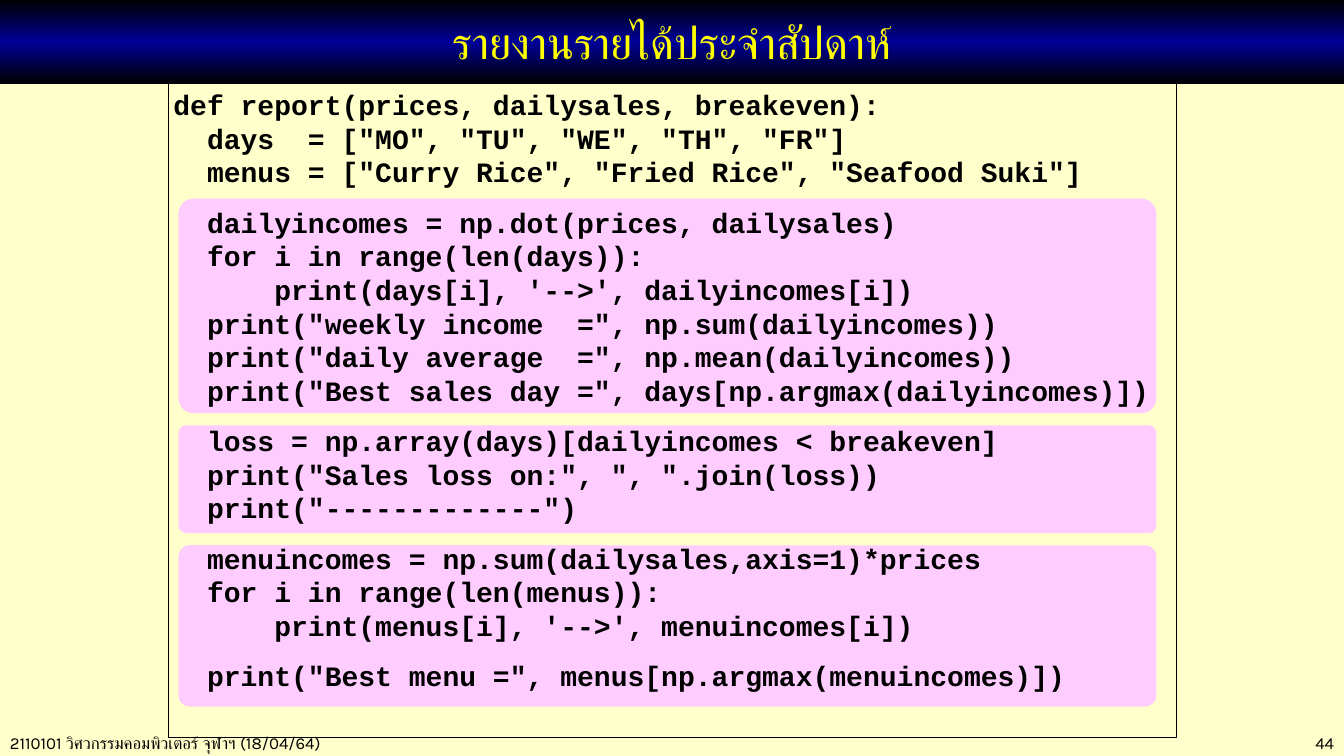
from copy import deepcopy

from pptx import Presentation
from pptx.dml.color import RGBColor
from pptx.enum.shapes import MSO_SHAPE
from pptx.enum.text import MSO_ANCHOR, PP_ALIGN
from pptx.util import Inches, Pt

CREAM = RGBColor(0xFF, 0xFF, 0xCC)
PINK = RGBColor(0xFF, 0xCC, 0xFF)
NAVY = RGBColor(0x00, 0x00, 0x99)
BLACK = RGBColor(0x00, 0x00, 0x00)
YELLOW = RGBColor(0xFF, 0xFF, 0x00)

TITLE_FONT = {"name": "Karla", "size": Pt(32), "bold": False}
CODE_FONT = {"name": "Courier New", "size": Pt(20), "bold": True}
FOOTER_FONT = {"name": "Karla", "size": Pt(12)}

TITLE = "รายงานรายได้ประจำสัปดาห์"
COURSE = "2110101 วิศวกรรมคอมพิวเตอร์ จุฬาฯ (18/04/64)"
# Each group of lines is followed by a 12-point gap.
CODE_GROUPS = [
    '''def report(prices, dailysales, breakeven):
  days  = ["MO", "TU", "WE", "TH", "FR"]
  menus = ["Curry Rice", "Fried Rice", "Seafood Suki"]''',
    '''  dailyincomes = np.dot(prices, dailysales)
  for i in range(len(days)):
      print(days[i], '-->', dailyincomes[i])
  print("weekly income  =", np.sum(dailyincomes))
  print("daily average  =", np.mean(dailyincomes))
  print("Best sales day =", days[np.argmax(dailyincomes)])''',
    '''  loss = np.array(days)[dailyincomes < breakeven]
  print("Sales loss on:", ", ".join(loss))
  print("-------------")''',
    '''  menuincomes = np.sum(dailysales,axis=1)*prices
  for i in range(len(menus)):
      print(menus[i], '-->', menuincomes[i])''',
    '''  print("Best menu =", menus[np.argmax(menuincomes)])''',
]
PANEL_HEIGHTS = [2.13, 1.07, 1.6]
PANEL_GAP = 0.12


def set_values(target, values):
    """Set each attribute named in values on target."""
    for name, value in values.items():
        setattr(target, name, value)


def write(para, text, font, color):
    """Add one formatted span of text to a paragraph."""
    span = para.add_run()
    span.text = text
    set_values(span.font, font)
    span.font.color.rgb = color


def add_title(page, left, top, width, height):
    """Turn the title placeholder into a gradient band in front."""
    title = page.shapes.title
    set_values(title, {"left": Inches(left), "top": Inches(top),
                       "width": Inches(width), "height": Inches(height)})
    title.fill.gradient()
    title.fill.gradient_angle = 90
    first, last = title.fill.gradient_stops
    first.color.rgb = last.color.rgb = BLACK
    stops = title.element.xpath(".//a:gsLst")[0]
    stops.insert(1, deepcopy(stops[0]))
    middle = title.fill.gradient_stops[1]
    middle.position = 0.5
    middle.color.rgb = NAVY
    title.text_frame.vertical_anchor = MSO_ANCHOR.MIDDLE
    para = title.text_frame.paragraphs[0]
    para.alignment = PP_ALIGN.CENTER
    write(para, TITLE, TITLE_FONT, YELLOW)
    title.element.getparent().append(title.element)


def add_panels(page, left, top, width):
    """Stack the rounded panels that highlight parts of the code."""
    for height in PANEL_HEIGHTS:
        panel = page.shapes.add_shape(
            MSO_SHAPE.ROUNDED_RECTANGLE,
            Inches(left), Inches(top), Inches(width), Inches(height))
        panel.adjustments[0] = 0.071
        panel.shadow.inherit = False
        panel.fill.solid()
        panel.fill.fore_color.rgb = PINK
        panel.line.fill.background()
        top += height + PANEL_GAP


def add_code(page, left, top, width, height):
    """Write the outlined code listing over its panels."""
    add_panels(page, left + 0.1, top + 1.15, width - 0.3)
    box = page.shapes.add_textbox(
        Inches(left), Inches(top), Inches(width), Inches(height))
    box.line.color.rgb = BLACK
    box.line.width = Pt(0.5)
    frame = box.text_frame
    margins = ("margin_left", "margin_right", "margin_top", "margin_bottom")
    set_values(frame, dict.fromkeys(margins, Inches(0.05)))
    frame.word_wrap = True
    para = None
    for group in CODE_GROUPS:
        for line in group.splitlines():
            para = frame.add_paragraph() if para else frame.paragraphs[0]
            write(para, line, CODE_FONT, BLACK)
        if group is not CODE_GROUPS[-1]:
            para.space_after = Pt(12)


def add_footer(page, left, top, width, height):
    """Place the course name at the left and the page number at the right."""
    number_width = 1.84
    parts = [(COURSE, left, 5.2, PP_ALIGN.LEFT),
             ("44", left + width - number_width, number_width, PP_ALIGN.RIGHT)]
    for text, part_left, part_width, alignment in parts:
        box = page.shapes.add_textbox(
            Inches(part_left), Inches(top), Inches(part_width), Inches(height))
        box.text_frame.word_wrap = True
        para = box.text_frame.paragraphs[0]
        para.alignment = alignment
        write(para, text, FOOTER_FONT, BLACK)


def build_report_page(deck):
    """Build the slide with the weekly income report code."""
    page = deck.slides.add_slide(deck.slide_layouts[5])
    page.background.fill.solid()
    page.background.fill.fore_color.rgb = CREAM
    add_footer(page, 0, 7.22, 13.33, 0.3)
    add_code(page, 1.67, 0.82, 10, 6.5)
    add_title(page, 0, 0, 13.33, 0.83)


deck = Presentation()
set_values(deck, {"slide_width": Inches(13.33), "slide_height": Inches(7.5)})
build_report_page(deck)
deck.save("out.pptx")
